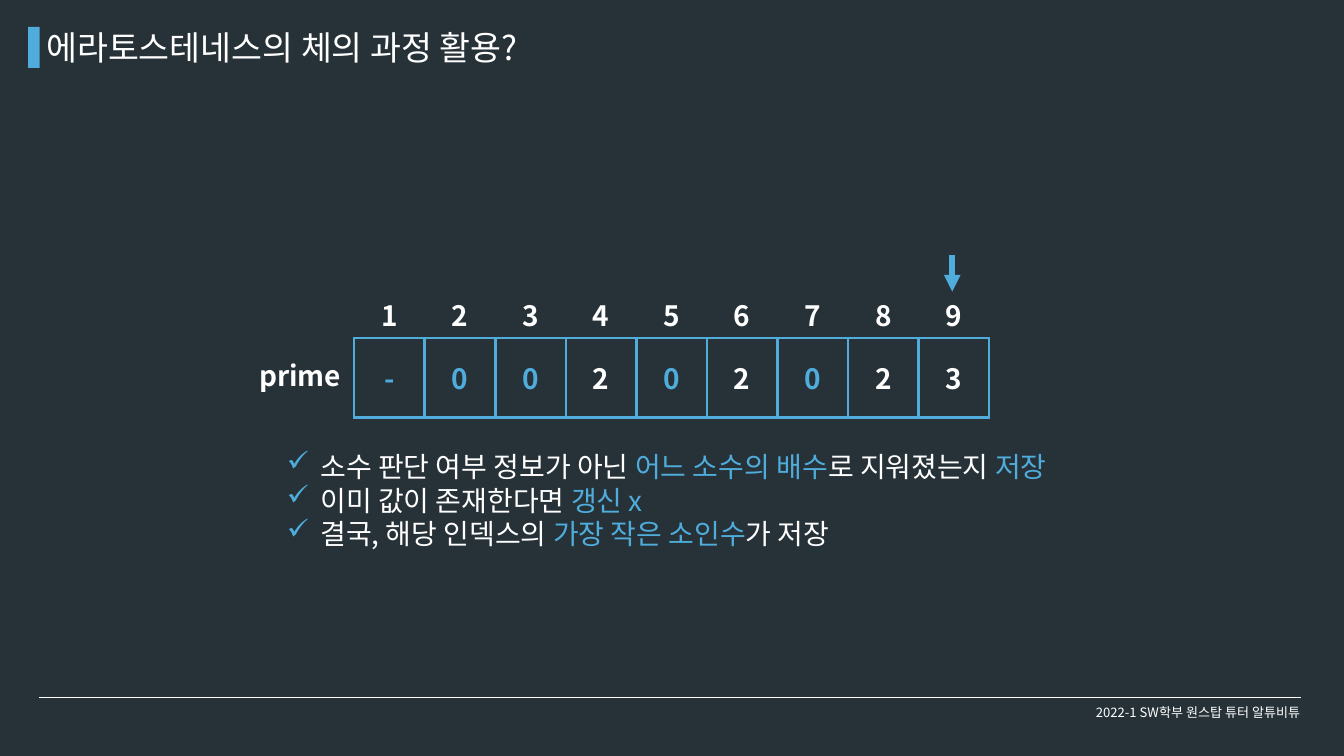
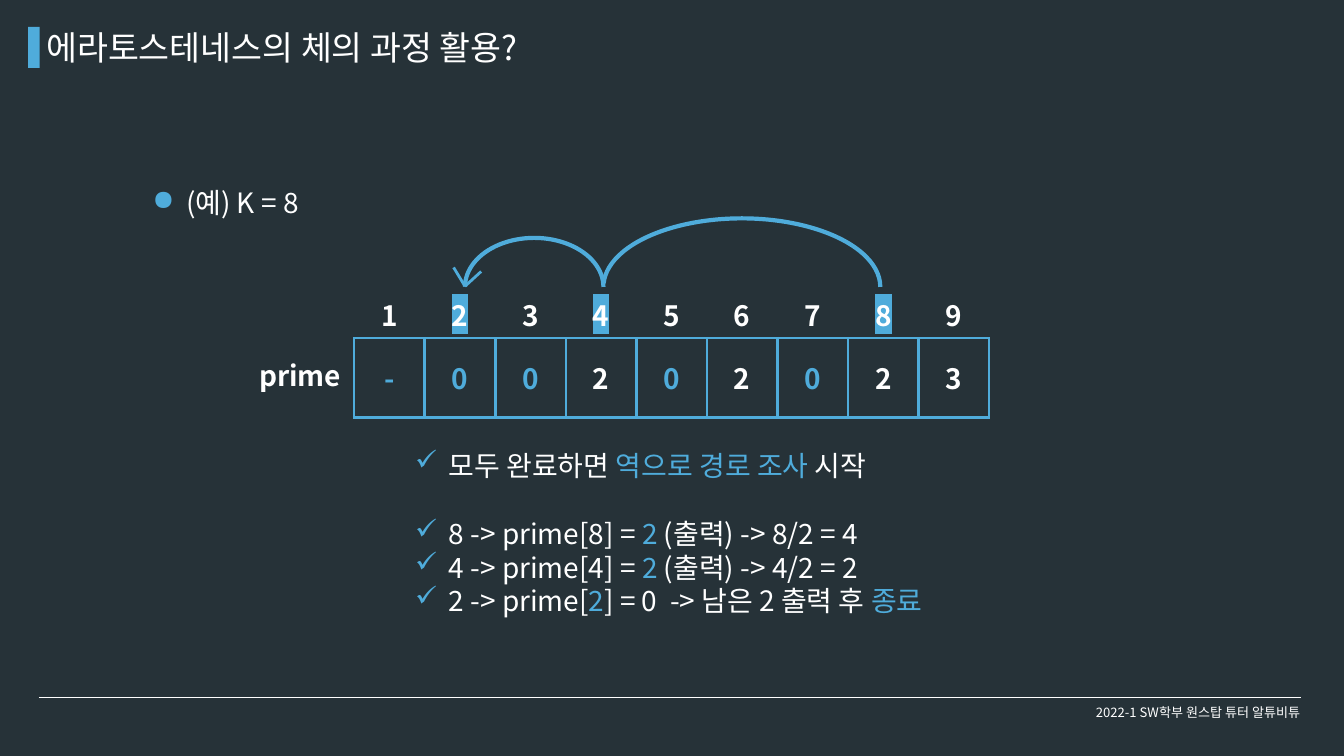
from dataclasses import dataclass

from lxml.etree import SubElement
from pptx import Presentation
from pptx.dml.color import RGBColor
from pptx.enum.shapes import MSO_CONNECTOR, MSO_SHAPE
from pptx.enum.text import MSO_ANCHOR, MSO_AUTO_SIZE, PP_ALIGN
from pptx.oxml.ns import qn
from pptx.util import Inches, Pt


@dataclass(frozen=True)
class Theme:
    face: str = "Noto Sans CJK KR"
    back: str = "263238"
    ink: str = "FFFFFF"
    accent: str = "4FACDB"
    title: int = 36
    body: int = 30
    footer: int = 14


# Square grid: 100 columns across the slide, 56.25 rows down
COLUMNS, ROWS = 100, 56.25
WIDTH, HEIGHT = Inches(20), Inches(11.25)

# The array: nine cells with their indices above
ARRAY_LEFT, ARRAY_TOP, INDEX_TOP = 26.35, 25.15, 20.4
CELL_WIDTH, CELL_HEIGHT = 5.25, 5.9
SMALLEST_FACTORS = "-00202023"
INDICES = "123456789"

TITLE = "에라토스테네스의 체의 과정 활용?"
FOOTER = "2022-1 SW학부 원스탑 튜터 알튜비튜"

# Asterisks enclose accented words
STORING_RULES = [
    "소수 판단 여부 정보가 아닌 *어느 소수의 배수*로 지워졌는지 *저장*",
    "이미 값이 존재한다면 *갱신 x*",
    "결국, 해당 인덱스의* 가장 작은 소인수*가 저장",
]
TRACE_START = ["모두 완료하면 *역으로 경로 조사 *시작"]
TRACE_STEPS = [
    "8 -> prime[8] = *2 *(출력) -> 8/2 = 4",
    "4 -> prime[4] = *2 *(출력) -> 4/2 = 2",
    "2 -> prime[*2*] = 0  -> 남은 2 출력 후 *종료*",
]


def across(columns):
    return round(WIDTH * columns / COLUMNS)


def down(rows):
    return round(HEIGHT * rows / ROWS)


def grid_box(left, top, width, height):
    return across(left), down(top), across(width), down(height)


def rgb(color):
    return RGBColor.from_string(color)


def add_color(parent, tag, color):
    holder = SubElement(parent, qn(tag))
    SubElement(holder, qn("a:srgbClr"), val=color)
    return holder


class Deck:
    def __init__(self, theme):
        self.theme = theme
        self.presentation = Presentation()
        self.presentation.slide_width = WIDTH
        self.presentation.slide_height = HEIGHT
        self.slide = None

    def new_slide(self):
        theme = self.theme
        self.slide = self.presentation.slides.add_slide(
            self.presentation.slide_layouts[6])
        self.slide.background.fill.solid()
        self.slide.background.fill.fore_color.rgb = rgb(theme.back)
        # Footer rule, title band, footer and title
        self.line((2.9, 51.9), (96.8, 51.9), theme.ink, 0.75)
        band = self.shape(MSO_SHAPE.RECTANGLE, 2.1, 2, 0.85, 3.05)
        band.fill.solid()
        band.fill.fore_color.rgb = rgb(theme.accent)
        band.line.fill.background()
        footer = self.text((79.15, 51.55, 20, 2.85), [FOOTER], theme.footer,
                           align=PP_ALIGN.CENTER)
        footer.vertical_anchor = MSO_ANCHOR.MIDDLE
        footer.auto_size = MSO_AUTO_SIZE.NONE
        self.text((2.95, 1.75, 47.5, 3.55), [TITLE], theme.title)

    def style(self, paragraph, size, color=None, bold=False):
        font = paragraph.font
        font.size, font.bold, font.name = Pt(size), bold, self.theme.face
        font.color.rgb = rgb(color or self.theme.ink)
        east_asian = SubElement(font._element, qn("a:ea"))
        east_asian.set("typeface", self.theme.face)

    def bullet(self, paragraph, mark):
        properties = paragraph._p.get_or_add_pPr()
        properties.set("marL", str(Inches(0.5)))
        properties.set("indent", str(-Inches(0.5)))
        add_color(properties, "a:buClr", self.theme.accent)
        SubElement(properties, qn("a:buChar"), char=mark)

    def text(self, box, lines, size, mark=None, bold=False, align=None):
        frame = self.slide.shapes.add_textbox(*grid_box(*box)).text_frame
        frame.word_wrap = True
        frame.auto_size = MSO_AUTO_SIZE.SHAPE_TO_FIT_TEXT
        for number, content in enumerate(lines):
            paragraph = frame.add_paragraph() if number else frame.paragraphs[0]
            paragraph.alignment = align
            if mark:
                self.bullet(paragraph, mark)
            self.style(paragraph, size, bold=bold)
            for part, words in enumerate(content.split("*")):
                if words:
                    run = paragraph.add_run()
                    run.text = words
                    if part % 2:
                        run.font.color.rgb = rgb(self.theme.accent)
        return frame

    def shape(self, kind, left, top, width, height):
        shape = self.slide.shapes.add_shape(
            kind, *grid_box(left, top, width, height))
        shape.shadow.inherit = False
        return shape

    def line(self, start, end, color, weight, arrow=False):
        line = self.slide.shapes.add_connector(
            MSO_CONNECTOR.STRAIGHT, across(start[0]), down(start[1]),
            across(end[0]), down(end[1]))
        line.line.color.rgb = rgb(color)
        line.line.width = Pt(weight)
        if arrow:
            SubElement(line.line._get_or_add_ln(), qn("a:tailEnd"),
                       type="triangle")
        SubElement(line._element.spPr, qn("a:effectLst"))

    def arc(self, left, top, width, height, start):
        arc = self.shape(MSO_SHAPE.ARC, left, top, width, height)
        arc.adjustments[0], arc.adjustments[1] = start, 0
        arc.fill.background()
        arc.line.color.rgb = rgb(self.theme.accent)
        arc.line.width = Pt(4.5)

    def borders(self, cell, color):
        properties = cell._tc.get_or_add_tcPr()
        for side in ("a:lnL", "a:lnR", "a:lnT", "a:lnB"):
            border = SubElement(properties, qn(side), w=str(Pt(3)))
            if color:
                add_color(border, "a:solidFill", color)
            else:
                SubElement(border, qn("a:noFill"))

    def row(self, top, values, border=None, accented="", highlighted=""):
        table = self.slide.shapes.add_table(1, len(values), *grid_box(
            ARRAY_LEFT, top, CELL_WIDTH * len(values), CELL_HEIGHT)).table
        table.first_row = table.horz_banding = False
        for column, value in enumerate(values):
            table.columns[column].width = across(CELL_WIDTH)
            cell = table.cell(0, column)
            self.borders(cell, border)
            cell.fill.background()
            cell.vertical_anchor = MSO_ANCHOR.MIDDLE
            paragraph = cell.text_frame.paragraphs[0]
            paragraph.alignment = PP_ALIGN.CENTER
            color = self.theme.accent if value in accented else None
            self.style(paragraph, self.theme.body, color, bold=True)
            run = paragraph.add_run()
            run.text = value
            if value in highlighted:
                add_color(run._r.get_or_add_rPr(), "a:highlight",
                          self.theme.accent)

    def prime_array(self, highlighted=""):
        self.row(ARRAY_TOP, SMALLEST_FACTORS, self.theme.accent, accented="-0")
        self.row(INDEX_TOP, INDICES, highlighted=highlighted)
        self.text((18.8, 26.45, 7.9, 3.05), ["prime"], self.theme.body,
                  bold=True)

    def checklist(self, box, lines, mark="✓"):
        self.text(box, lines, self.theme.body, mark)


def storing_slide(deck):
    deck.new_slide()
    deck.prime_array()
    # Pointer to the last index
    deck.line((70.85, 19), (70.85, 21.7), deck.theme.accent, 6, arrow=True)
    deck.checklist((20.85, 33.2, 58.35, 8.1), STORING_RULES)


def tracing_slide(deck):
    deck.new_slide()
    deck.checklist((10.85, 13.55, 14.6, 3.05), ["(예) K = 8"], mark="●")
    deck.prime_array(highlighted="248")
    deck.checklist((30.4, 33.1, 35.85, 3.05), TRACE_START)
    deck.checklist((30.4, 38.2, 52.9, 8.1), TRACE_STEPS)
    # Jumps 8 to 4 and 4 to 2, ending in an open arrowhead
    deck.arc(44.9, 16.25, 20.6, 10.2, 108.93)
    deck.arc(34.6, 17.7, 10.3, 7.3, 108.13)
    for barb in ((33.75, 19.9), (35.8, 20.2)):
        deck.line(barb, (34.6, 21.3), deck.theme.accent, 3)


def main():
    deck = Deck(Theme())
    storing_slide(deck)
    tracing_slide(deck)
    deck.presentation.save("out.pptx")


if __name__ == "__main__":
    main()
